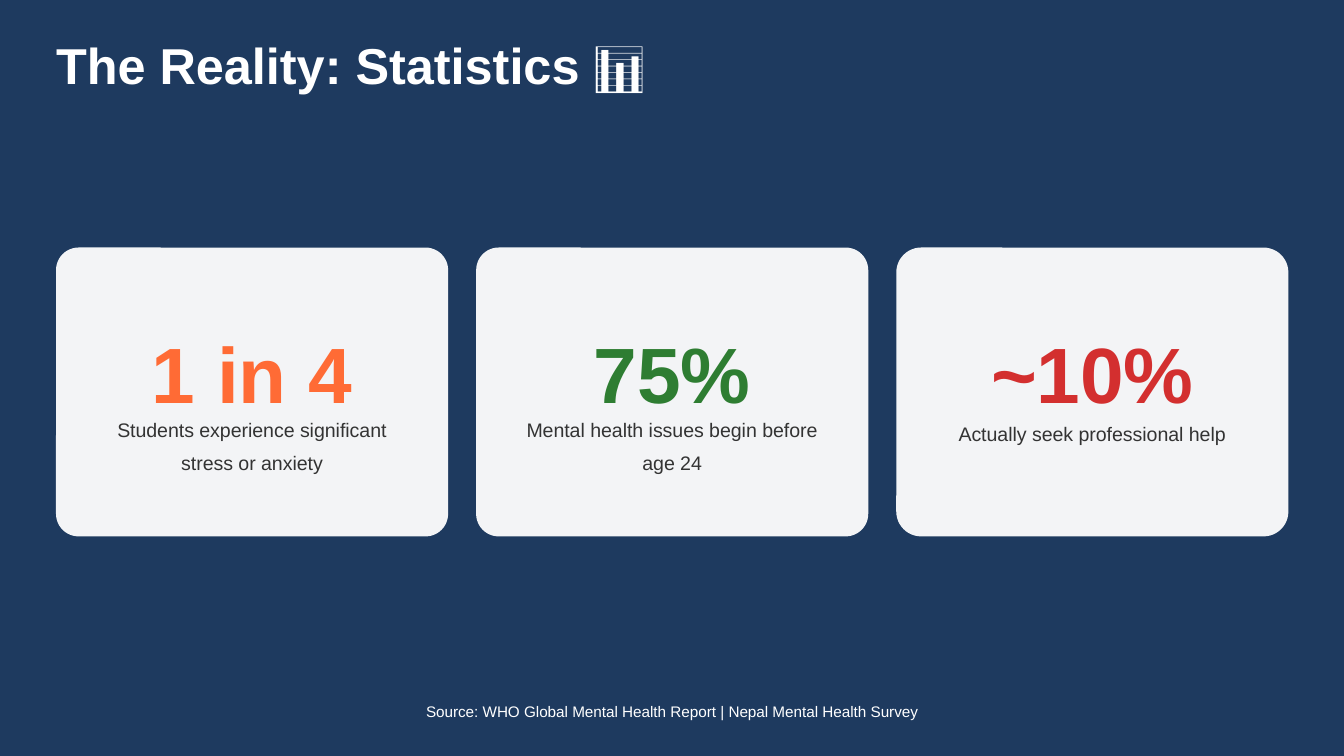
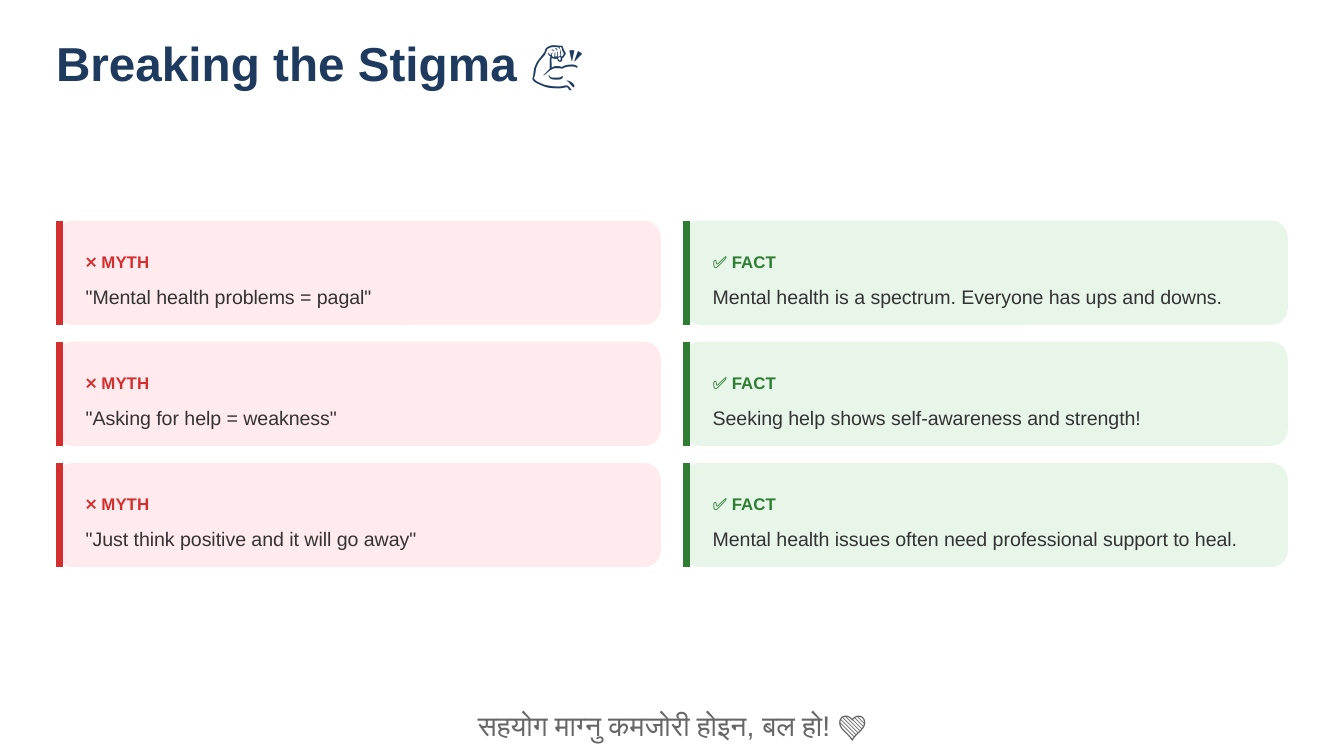
from lxml.etree import SubElement
from pptx import Presentation
from pptx.dml.color import RGBColor
from pptx.enum.shapes import MSO_CONNECTOR, MSO_SHAPE
from pptx.enum.text import PP_ALIGN
from pptx.oxml.ns import qn
from pptx.util import Cm, Pt

FONT = "Arial"
COLORS = {
    "navy": "1E3A5F",
    "white": "FFFFFF",
    "orange": "FF6B35",
    "green": "2E7D32",
    "red": "D32F2F",
    "pale_red": "FFEBEE",
    "pale_green": "E8F5E9",
    "text": "333333",
    "grey": "666666",
}

# Lengths in centimetres
MARGIN = 1.06
STAT_TOP, STAT_STEP, STAT_WIDTH, STAT_HEIGHT = 4.68, 7.94, 7.41, 5.46
CLAIM_TOP, CLAIM_WIDTH, CLAIM_HEIGHT = 4.17, 11.43, 1.97
COLUMN_STEP, ROW_STEP = 11.85, 2.29

# Figure, colour, caption, caption top, caption height, corner rounding
STATS = [
    ("1 in 4", "orange", "Students experience significant stress or anxiety", 7.72, 1.04, 0.078),
    ("75%", "green", "Mental health issues begin before age 24", 7.72, 1.04, 0.078),
    ("~10%", "red", "Actually seek professional help", 7.8, 0.71, 0.086),
]

MYTHS_AND_FACTS = [
    ('"Mental health problems = pagal"',
     "Mental health is a spectrum. Everyone has ups and downs."),
    ('"Asking for help = weakness"',
     "Seeking help shows self-awareness and strength!"),
    ('"Just think positive and it will go away"',
     "Mental health issues often need professional support to heal."),
]

# Label, accent colour, card colour
CLAIM_STYLES = [
    ("❌ MYTH", "red", "pale_red"),
    ("✅ FACT", "green", "pale_green"),
]


def rgb(name):
    return RGBColor.from_string(COLORS[name])


def add_slide(presentation, background):
    slide = presentation.slides.add_slide(presentation.slide_layouts[6])
    fill = slide.background.fill
    fill.solid()
    fill.fore_color.rgb = rgb(background)
    return slide


def add_text(slide, text, left, top, width, height, *, size, color,
             bold=False, align=PP_ALIGN.LEFT, line_spacing=1.4):
    box = slide.shapes.add_textbox(Cm(left), Cm(top), Cm(width), Cm(height))
    frame = box.text_frame
    frame.word_wrap = True
    frame.margin_left = frame.margin_right = 0
    frame.margin_top = frame.margin_bottom = 0
    paragraph = frame.paragraphs[0]
    paragraph.alignment = align
    paragraph.line_spacing = line_spacing
    run = paragraph.add_run()
    run.text = text
    run.font.name = FONT
    run.font.size = Pt(size)
    run.font.bold = bold
    run.font.color.rgb = rgb(color)


def add_title(slide, text, *, size, color):
    add_text(slide, text, MARGIN, 0.64, 11.91, 0.95, size=size, color=color,
             bold=True, line_spacing=1.0)


def add_footer(slide, text, *, size, color):
    add_text(slide, text, 0.83, 13.13, 23.75, 0.41, size=size, color=color,
             align=PP_ALIGN.CENTER)


def add_card(slide, left, top, width, height, *, color, rounding, opacity=100):
    shape = slide.shapes.add_shape(MSO_SHAPE.ROUNDED_RECTANGLE,
                                   Cm(left), Cm(top), Cm(width), Cm(height))
    shape.adjustments[0] = rounding
    shape.shadow.inherit = False
    shape.line.fill.background()
    shape.fill.solid()
    shape.fill.fore_color.rgb = rgb(color)
    if opacity < 100:
        fill_color = shape.fill._xPr.find(qn("a:solidFill"))[0]
        SubElement(fill_color, qn("a:alpha")).set("val", str(opacity * 1000))


def add_accent_line(slide, left, top, height, color):
    line = slide.shapes.add_connector(MSO_CONNECTOR.STRAIGHT, Cm(left), Cm(top),
                                      Cm(left), Cm(top + height))
    line.line.color.rgb = rgb(color)
    line.line.width = Pt(3.75)
    SubElement(line._element.spPr, qn("a:effectLst"))


def add_stat(slide, left, figure, color, caption, caption_top, caption_height, rounding):
    add_card(slide, left, STAT_TOP, STAT_WIDTH, STAT_HEIGHT,
             color="white", rounding=rounding, opacity=95)
    text_left, text_width = left + 0.68, 6.05
    add_text(slide, figure, text_left, 5.44, text_width, 2.08,
             size=42, color=color, bold=True, align=PP_ALIGN.CENTER)
    add_text(slide, caption, text_left, caption_top, text_width, caption_height,
             size=10.5, color="text", align=PP_ALIGN.CENTER)


def add_claim(slide, left, top, text, label, accent, card_color):
    """Add a card with an accent line, a label and one myth or fact."""
    add_card(slide, left, top, CLAIM_WIDTH, CLAIM_HEIGHT, color=card_color, rounding=0.161)
    add_accent_line(slide, left + 0.07, top, CLAIM_HEIGHT, accent)
    text_left, text_width = left + 0.56, 10.67
    add_text(slide, label, text_left, top + 0.43, text_width, 0.43,
             size=9, color=accent, bold=True)
    add_text(slide, text, text_left, top + 1.04, text_width, 0.51,
             size=10.5, color="text")


def build_statistics(presentation):
    slide = add_slide(presentation, "navy")
    add_title(slide, "The Reality: Statistics 📊", size=27, color="white")
    for index, stat in enumerate(STATS):
        add_stat(slide, MARGIN + index * STAT_STEP, *stat)
    add_footer(slide, "Source: WHO Global Mental Health Report | Nepal Mental Health Survey",
               size=8.2, color="white")


def build_stigma(presentation):
    slide = add_slide(presentation, "white")
    add_title(slide, "Breaking the Stigma 💪", size=25.5, color="navy")
    for row, claims in enumerate(MYTHS_AND_FACTS):
        for column, (text, style) in enumerate(zip(claims, CLAIM_STYLES)):
            add_claim(slide, MARGIN + column * COLUMN_STEP, CLAIM_TOP + row * ROW_STEP,
                      text, *style)
    add_footer(slide, "सहयोग माग्नु कमजोरी होइन, बल हो! 💚", size=15.2, color="grey")


def main():
    presentation = Presentation()
    presentation.slide_width = Cm(25.4)
    presentation.slide_height = Cm(14.29)
    build_statistics(presentation)
    build_stigma(presentation)
    presentation.save("out.pptx")


if __name__ == "__main__":
    main()
